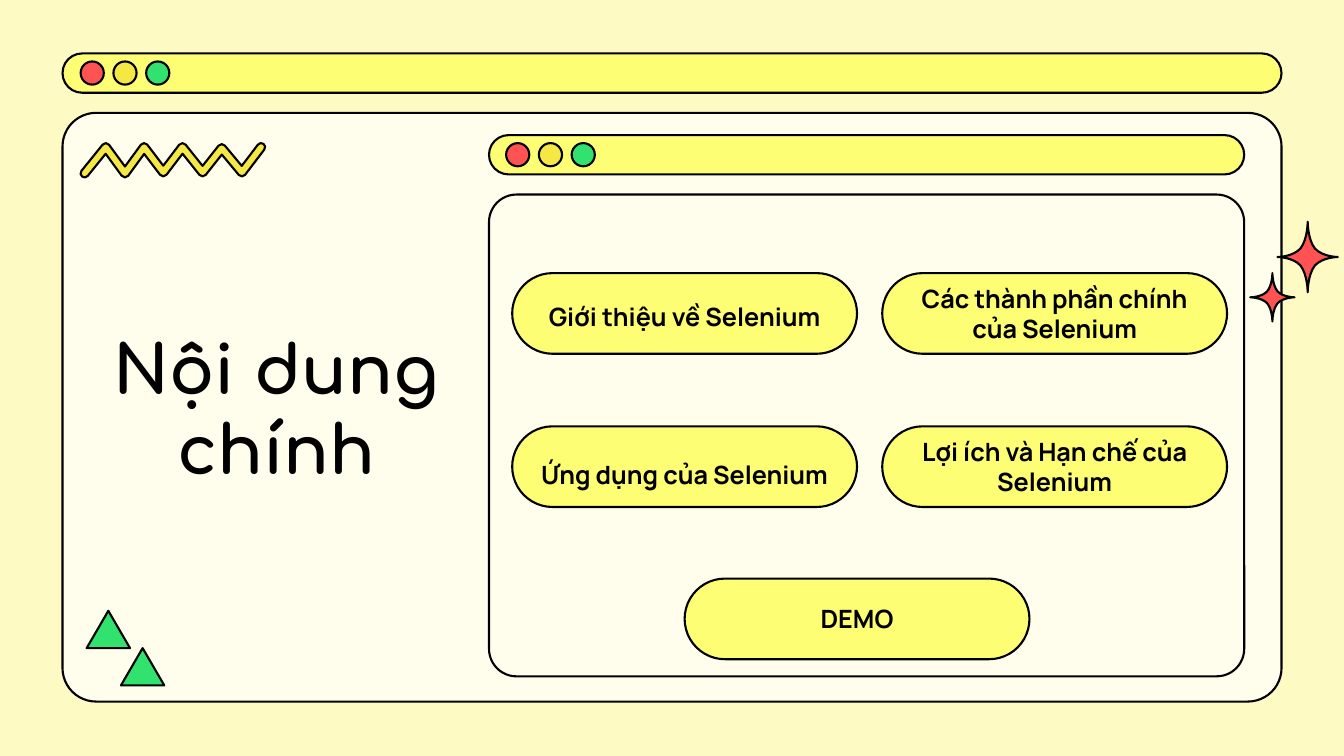
from dataclasses import dataclass
from math import atan2, cos, pi, remainder, sin, tan, tau

from lxml.etree import SubElement
from pptx import Presentation
from pptx.dml.color import RGBColor
from pptx.enum.shapes import MSO_SHAPE as Preset
from pptx.enum.text import MSO_ANCHOR as Anchor, MSO_AUTO_SIZE as AutoSize, PP_ALIGN as Align
from pptx.oxml.ns import qn
from pptx.util import Inches, Pt

BLACK = RGBColor(0x00, 0x00, 0x00)
BACKDROP = RGBColor(0xFE, 0xFA, 0xC3)
CREAM = RGBColor(0xFF, 0xFE, 0xED)
LEMON = RGBColor(0xFE, 0xFE, 0x75)
YELLOW = RGBColor(0xF5, 0xE7, 0x44)
RED = RGBColor(0xFF, 0x52, 0x53)
GREEN = RGBColor(0x31, 0xE2, 0x6F)

Point = tuple[float, float]
Segment = list[Point]


@dataclass(frozen=True)
class Window:
    left: float
    width: float
    bar_top: float
    panel_top: float
    panel_height: float
    lights_left: float


@dataclass(frozen=True)
class Topic:
    text: str
    left: float
    top: float
    top_inset: float = 0.1
    line_spacing: float = 1.0


@dataclass(frozen=True)
class Sparkle:
    center_x: float
    center_y: float
    half_width: float
    half_height: float


WINDOWS = (
    Window(0.62, 12.09, 0.53, 1.12, 5.84, 0.8),
    Window(4.85, 7.49, 1.34, 1.93, 4.78, 5.02),
)
LIGHTS = (RED, YELLOW, GREEN)
LIGHTS_SPAN = 0.65
TRIANGLES = ((0.86, 6.06), (1.2, 6.43))
SPARKLES = (Sparkle(12.97, 2.55, 0.3, 0.35), Sparkle(12.62, 2.95, 0.22, 0.24))
SPARKLE_QUARTER = (
    ((0, 1), (0, 0.5), (0.24, 0.24)),
    ((0.5, 0), (1, 0), (1, 0)),
)
ZIGZAG = [(0.84, 1.72), (1.05, 1.46), (1.24, 1.72), (1.43, 1.46), (1.62, 1.71),
          (1.81, 1.46), (2.01, 1.71), (2.2, 1.47), (2.4, 1.71), (2.59, 1.46)]
ZIGZAG_RADIUS = 0.04

LEFT_COLUMN, RIGHT_COLUMN = 5.08, 8.75
FIRST_ROW, SECOND_ROW, THIRD_ROW = 2.71, 4.23, 5.74
TOPICS = (
    Topic("Giới thiệu về Selenium", LEFT_COLUMN, FIRST_ROW, top_inset=0.16),
    Topic("Các thành phần chính của Selenium", RIGHT_COLUMN, FIRST_ROW),
    Topic("Ứng dụng của Selenium", LEFT_COLUMN, SECOND_ROW, line_spacing=1.5),
    Topic("Lợi ích và Hạn chế của Selenium", RIGHT_COLUMN, SECOND_ROW),
    Topic("DEMO", 6.79, THIRD_ROW),
)


def paint(shape, fill: RGBColor) -> None:
    shape.shadow.inherit = False
    shape.fill.solid()
    shape.fill.fore_color.rgb = fill
    shape.line.color.rgb = BLACK
    shape.line.width = Pt(1.5)


def add_preset(page, preset: Preset, left: float, top: float, width: float,
               height: float, fill: RGBColor, rounding: float | None = None):
    shape = page.shapes.add_shape(
        preset, Inches(left), Inches(top), Inches(width), Inches(height))
    if rounding is not None:
        shape.adjustments[0] = rounding
    paint(shape, fill)
    return shape


def add_outline(page, start: Point, segments: list[Segment], fill: RGBColor) -> None:
    builder = page.shapes.build_freeform(Inches(start[0]), Inches(start[1]))
    builder.add_line_segments(
        [(Inches(x), Inches(y)) for segment in segments for x, y in segment], close=True)
    shape = builder.convert_to_shape()
    lines = iter(list(shape._element.iter(qn("a:lnTo"))))
    for segment in segments:
        steps = [next(lines) for _ in segment]
        if len(steps) == 3:
            outline = steps[0].getparent()
            curve = SubElement(outline, qn("a:cubicBezTo"))
            steps[0].addprevious(curve)
            for step in steps:
                curve.append(step[0])
                outline.remove(step)
    paint(shape, fill)


def add_sparkle(page, sparkle: Sparkle) -> None:
    segments = []
    for quarter in range(4):
        turn_cos, turn_sin = cos(quarter * pi / 2), sin(quarter * pi / 2)
        for curve in SPARKLE_QUARTER:
            segments.append([
                (sparkle.center_x + sparkle.half_width * (x * turn_cos + y * turn_sin),
                 sparkle.center_y + sparkle.half_height * (y * turn_cos - x * turn_sin))
                for x, y in curve])
    start = (sparkle.center_x, sparkle.center_y + sparkle.half_height)
    add_outline(page, start, segments, RED)


def add_band(page, spine: list[Point], radius: float, fill: RGBColor) -> None:
    loop = spine + spine[-2:0:-1]
    segments: list[Segment] = []
    for index, (x, y) in enumerate(loop):
        before, after = loop[index - 1], loop[(index + 1) % len(loop)]
        heading = atan2(y - before[1], x - before[0])
        turn = remainder(atan2(after[1] - y, after[0] - x) - heading, tau)
        if turn < -3:
            turn += tau
        if turn > 0:
            leaving = heading + turn
            pull = 4 / 3 * tan(turn / 4)
            entry = (x + radius * sin(heading), y - radius * cos(heading))
            finish = (x + radius * sin(leaving), y - radius * cos(leaving))
            handle = radius * pull
            segments.append([entry])
            segments.append([
                (entry[0] + handle * cos(heading), entry[1] + handle * sin(heading)),
                (finish[0] - handle * cos(leaving), finish[1] - handle * sin(leaving)),
                finish])
        else:
            middle, reach = heading + turn / 2, radius / cos(turn / 2)
            segments.append([(x + reach * sin(middle), y - reach * cos(middle))])
    add_outline(page, segments[0][0], segments[1:], fill)


def add_window(page, window: Window) -> None:
    add_preset(page, Preset.ROUNDED_RECTANGLE, window.left, window.panel_top,
               window.width, window.panel_height, CREAM, 0.057)
    add_preset(page, Preset.ROUNDED_RECTANGLE, window.left, window.bar_top,
               window.width, 0.39, LEMON, 0.5)
    for index, color in enumerate(LIGHTS):
        add_preset(page, Preset.OVAL, window.lights_left + index * LIGHTS_SPAN / 2,
                   window.bar_top + 0.08, 0.23, 0.23, color)


def set_text(shape, text: str, font_name: str, size: float, inset: float):
    frame = shape.text_frame
    frame.auto_size = AutoSize.NONE
    frame.word_wrap = True
    frame.vertical_anchor = Anchor.MIDDLE
    frame.margin_left = frame.margin_right = Inches(inset)
    frame.margin_top = frame.margin_bottom = Inches(inset)
    frame.text = text
    para = frame.paragraphs[0]
    para.alignment = Align.CENTER
    para.font.name = font_name
    para.font.size = Pt(size)
    para.font.bold = True
    para.font.color.rgb = BLACK
    return frame


def add_topic(page, topic: Topic) -> None:
    button = add_preset(page, Preset.ROUNDED_RECTANGLE, topic.left, topic.top,
                        3.42, 0.8, LEMON, 0.5)
    frame = set_text(button, topic.text, "Manrope", 18, 0.1)
    frame.margin_top = Inches(topic.top_inset)
    frame.paragraphs[0].line_spacing = topic.line_spacing


def place_title(page) -> None:
    title = page.shapes.title
    title.left, title.top = Inches(0.94), Inches(1.71)
    title.width, title.height = Inches(3.6), Inches(4.67)
    set_text(title, "Nội dung chính", "Comfortaa", 48, 0.13)
    page.shapes._spTree.append(title._element)


def main() -> None:
    deck = Presentation()
    deck.slide_width, deck.slide_height = Inches(13.33), Inches(7.5)
    page = deck.slides.add_slide(deck.slide_layouts[5])
    page.background.fill.solid()
    page.background.fill.fore_color.rgb = BACKDROP
    for window in WINDOWS:
        add_window(page, window)
    add_band(page, ZIGZAG, ZIGZAG_RADIUS, YELLOW)
    for left, top in TRIANGLES:
        add_preset(page, Preset.ISOSCELES_TRIANGLE, left, top, 0.43, 0.37, GREEN)
    for sparkle in SPARKLES:
        add_sparkle(page, sparkle)
    place_title(page)
    for topic in TOPICS:
        add_topic(page, topic)
    deck.save("out.pptx")


if __name__ == "__main__":
    main()
